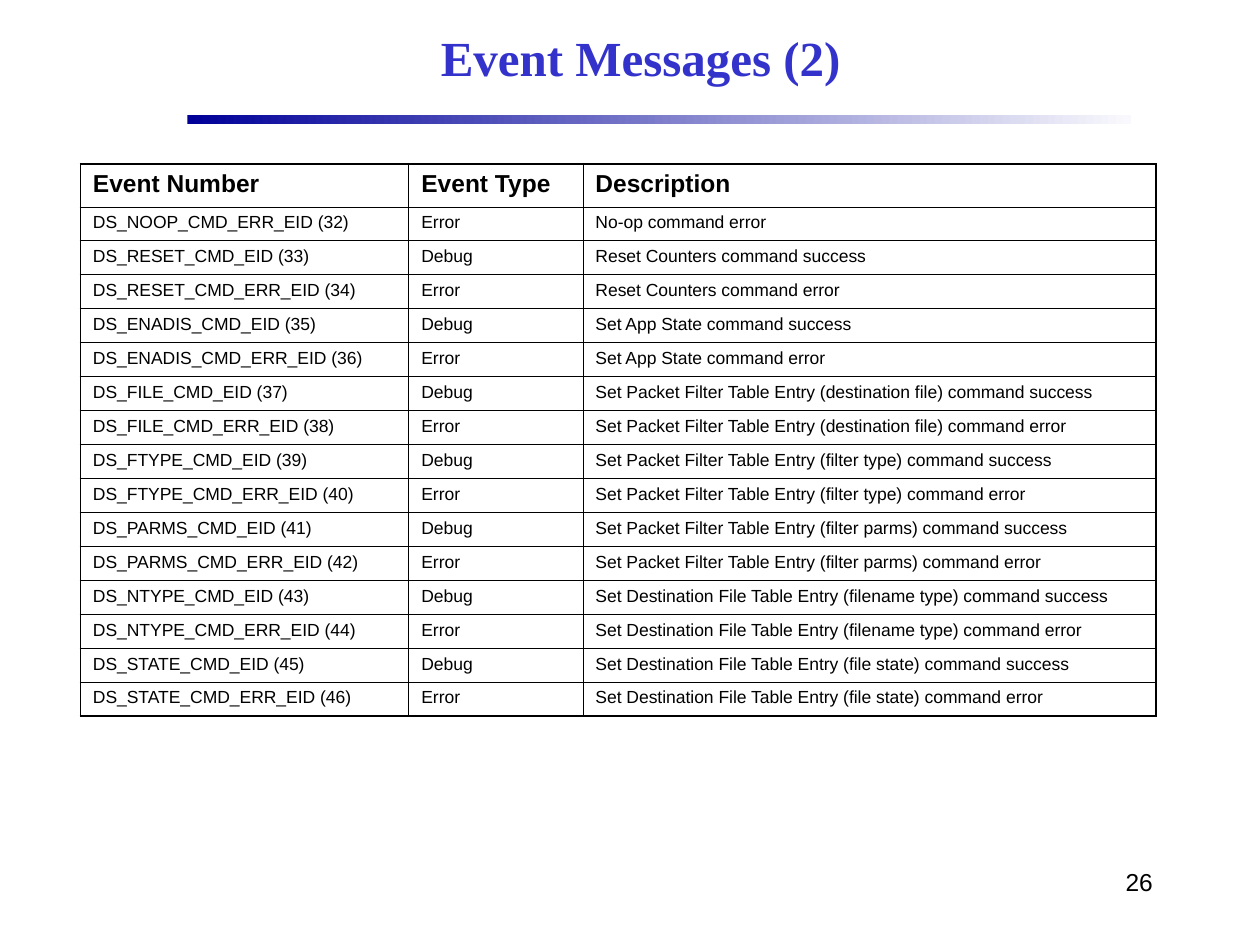
from lxml import etree
from pptx import Presentation
from pptx.dml.color import RGBColor
from pptx.enum.shapes import MSO_SHAPE
from pptx.enum.text import MSO_ANCHOR, PP_ALIGN
from pptx.oxml.ns import qn
from pptx.util import Cm, Pt

RECT = MSO_SHAPE.RECTANGLE
TOP, MIDDLE = MSO_ANCHOR.TOP, MSO_ANCHOR.MIDDLE
LEFT, CENTER, RIGHT = PP_ALIGN.LEFT, PP_ALIGN.CENTER, PP_ALIGN.RIGHT
COLORS = {"ink": "000000", "title": "3333CC", "navy": "000099", "pale": "F9F9FD"}
SANS, SERIF = "Arial", "Times New Roman"
THIN, THICK = 0.45, 1.08

HEADS = ("Event Number", "Event Type", "Description")
WIDTHS = (6.62, 3.51, 11.56)
FIRST = 32
PACKET = "Set Packet Filter Table Entry"
TARGET = "Set Destination File Table Entry"
PAIRS = (
    ("RESET", "Reset Counters"),
    ("ENADIS", "Set App State"),
    ("FILE", f"{PACKET} (destination file)"),
    ("FTYPE", f"{PACKET} (filter type)"),
    ("PARMS", f"{PACKET} (filter parms)"),
    ("NTYPE", f"{TARGET} (filename type)"),
    ("STATE", f"{TARGET} (file state)"),
)
KINDS = (("CMD", "Debug", "success"), ("CMD_ERR", "Error", "error"))


class Deck:
    """Hold the style and the current slide, and add elements to it."""

    def __init__(self, wide, high):
        self.show = Presentation()
        self.show.slide_width, self.show.slide_height = Cm(wide), Cm(high)
        self.slide = self.show.slides.add_slide(self.show.slide_layouts[6])

    def color(self, key):
        return RGBColor.from_string(COLORS[key])

    def label(self, frame, text, size, font=SANS, ink="ink", bold=False, align=LEFT):
        line = frame.paragraphs[0]
        line.alignment = align
        run = line.add_run()
        run.text = text
        run.font.name, run.font.size, run.font.bold = font, Pt(size), bold
        run.font.color.rgb = self.color(ink)

    def text(self, box, text, size, anchor=TOP, **style):
        frame = self.slide.shapes.add_textbox(*map(Cm, box)).text_frame
        frame.word_wrap = True
        frame.vertical_anchor = anchor
        self.label(frame, text, size, **style)

    def fade(self, box, start, end):
        bar = self.slide.shapes.add_shape(RECT, *map(Cm, box))
        bar.shadow.inherit = False
        bar.line.fill.background()
        bar.fill.gradient()
        bar.fill.gradient_angle = 0
        for stop, place, key in zip(bar.fill.gradient_stops, (0, 1), (start, end)):
            stop.position = place
            stop.color.rgb = self.color(key)

    def edge(self, cell, sides):
        props = cell._tc.get_or_add_tcPr()
        for spot, (side, width) in enumerate(sides.items()):
            line = etree.Element(qn(f"a:ln{side}"), w=str(Pt(width)))
            fill = etree.SubElement(line, qn("a:solidFill"))
            etree.SubElement(fill, qn("a:srgbClr"), val=COLORS["ink"])
            props.insert(spot, line)

    def table(self, left, top, high, head, widths, rows):
        count, last = len(rows), len(widths) - 1
        box = map(Cm, (left, top, sum(widths), high))
        grid = self.slide.shapes.add_table(count, len(widths), *box).table
        grid.first_row = grid.horz_banding = False
        for col, width in zip(grid.columns, widths):
            col.width = Cm(width)
        for r, row in enumerate(rows):
            grid.rows[r].height = Cm(head if r == 0 else (high - head) / (count - 1))
            for c, text in enumerate(row):
                cell = grid.cell(r, c)
                cell.fill.background()
                outer = {"L": c == 0, "R": c == last, "T": r == 0, "B": r == count - 1}
                self.edge(cell, {s: THICK if out else THIN for s, out in outer.items()})
                self.label(cell.text_frame, text, 14 if r == 0 else 10, bold=r == 0)


def events():
    """List the table rows, numbered in order."""
    items = [("NOOP_CMD_ERR", "Error", "No-op command error")]
    items += [
        (f"{key}_{mark}", kind, f"{text} command {end}")
        for key, text in PAIRS
        for mark, kind, end in KINDS
    ]
    return [
        (f"DS_{name}_EID ({num})", kind, text)
        for num, (name, kind, text) in enumerate(items, FIRST)
    ]


def main():
    deck = Deck(25.4, 19.05)
    deck.fade((3.78, 2.32, 19.02, 0.18), "navy", "pale")
    deck.text((18.21, 17.35, 5.28, 1.27), "26", 14, align=RIGHT)
    deck.text((3.81, 0.2, 18.21, 1.9), "Event Messages (2)", 28, MIDDLE,
              font=SERIF, ink="title", bold=True, align=CENTER)
    deck.table(1.62, 3.3, 11.14, 0.87, WIDTHS, [HEADS] + events())
    deck.show.save("out.pptx")


if __name__ == "__main__":
    main()
